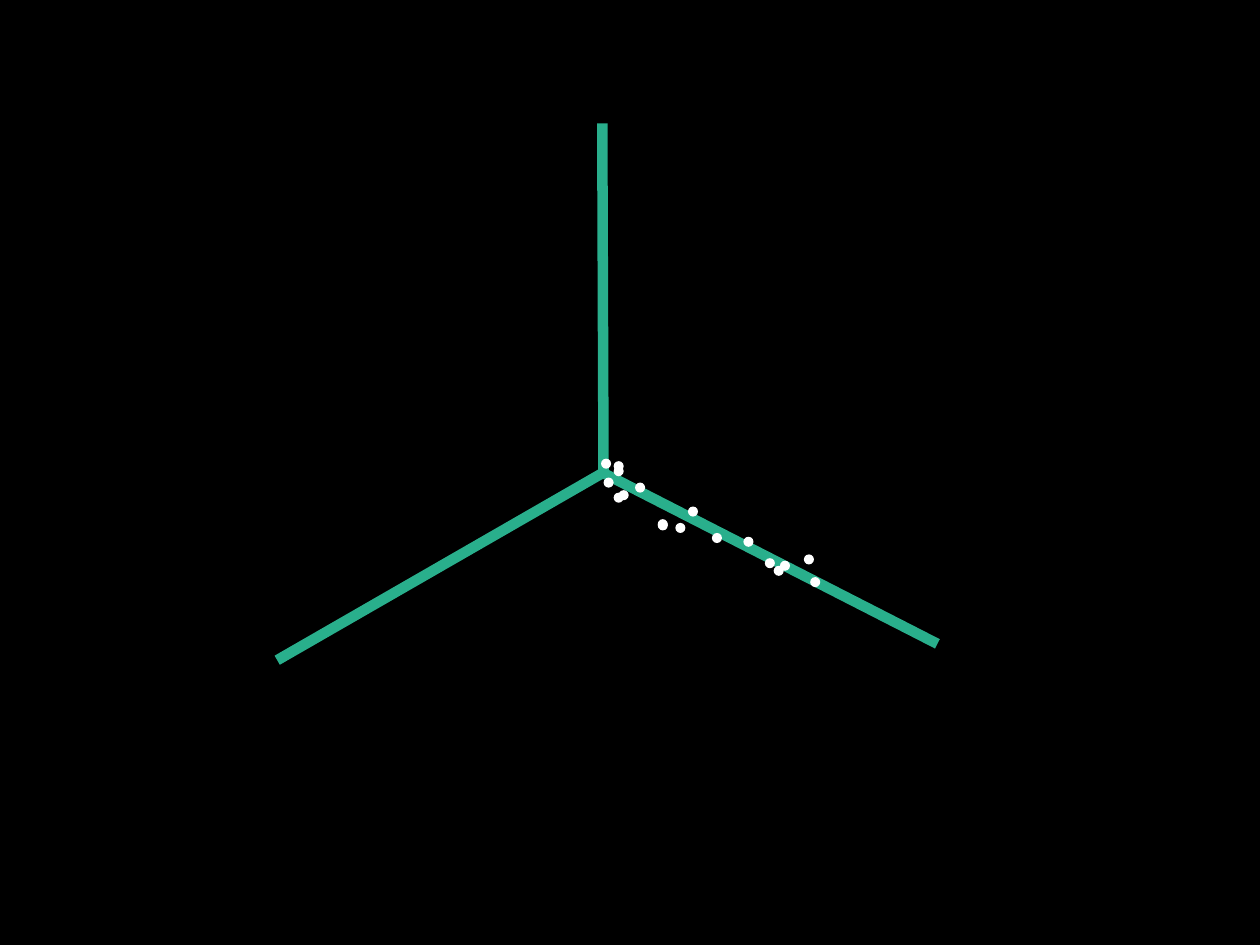
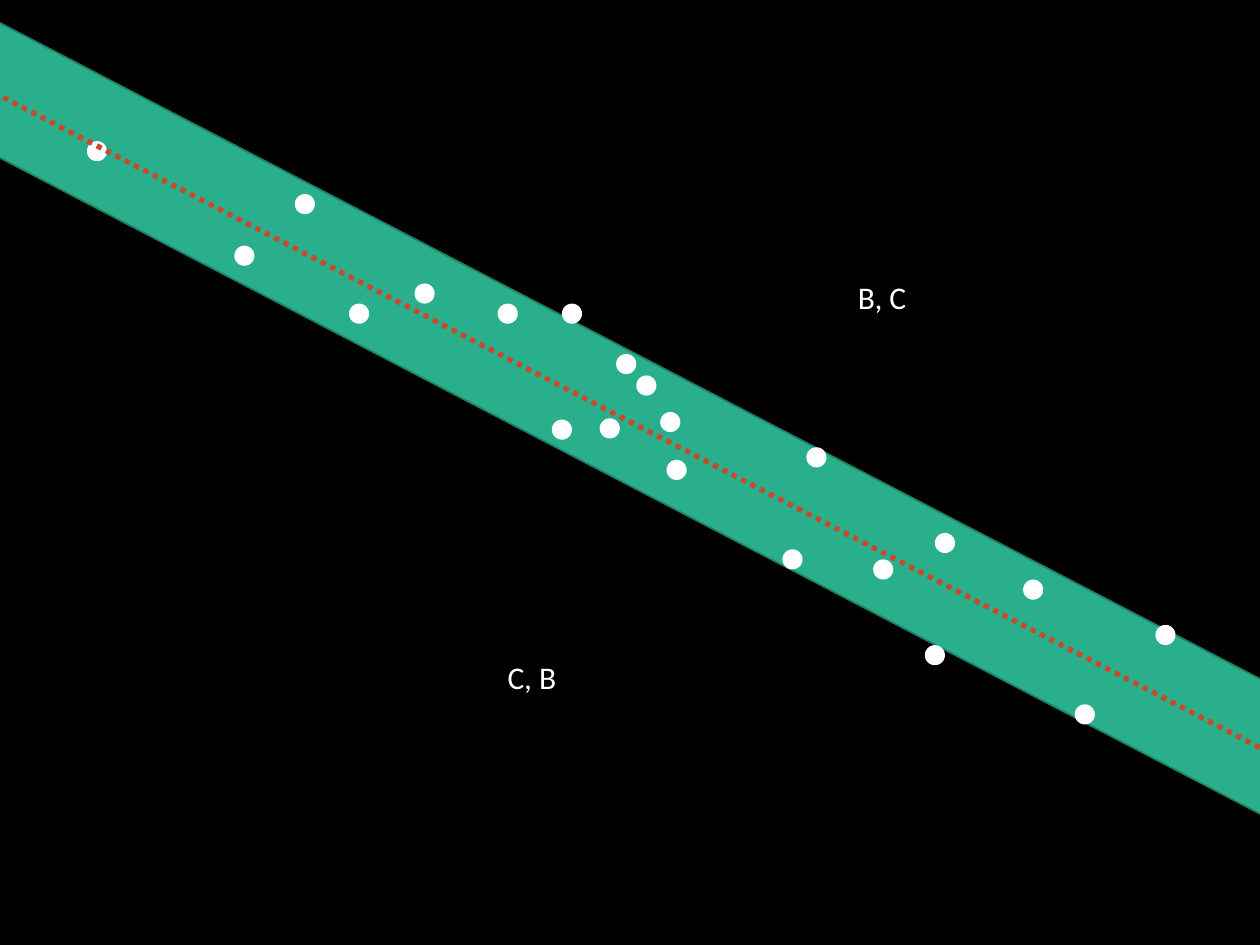
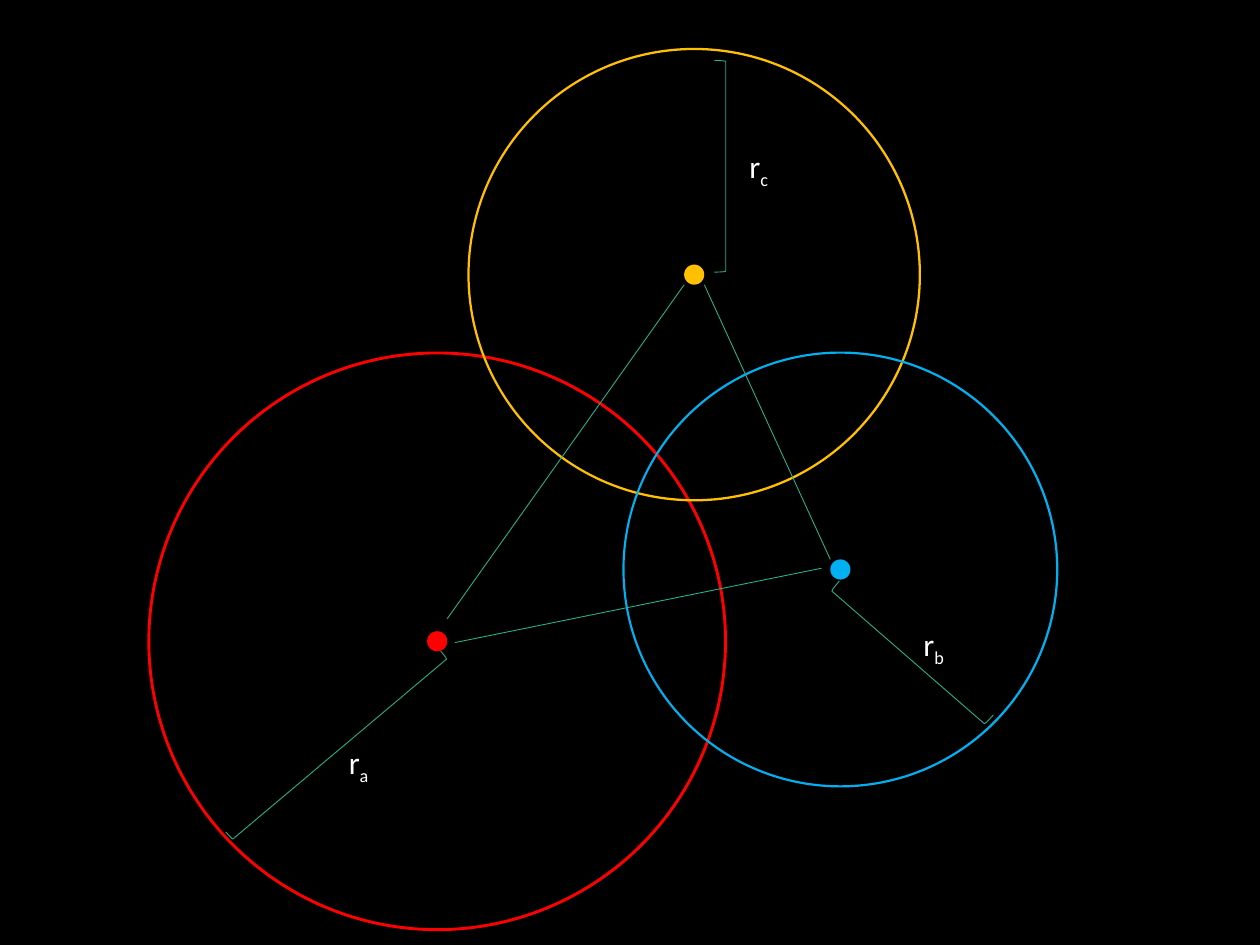
"""Build three slides on trilateration: points near an axis, the axis enlarged, and three circles."""
from lxml import etree
from pptx import Presentation
from pptx import util as u
from pptx.dml.color import RGBColor
from pptx.enum import dml, shapes
from pptx.oxml.ns import qn

BLACK = RGBColor(0x00, 0x00, 0x00)
WHITE = RGBColor(0xFF, 0xFF, 0xFF)
GREEN = RGBColor(0x29, 0xAF, 0x8C)
DARK_GREEN = RGBColor(0x1E, 0x81, 0x68)
RUST = RGBColor(0xC9, 0x49, 0x2C)
RED = RGBColor(0xFF, 0x00, 0x00)
YELLOW = RGBColor(0xFF, 0xC0, 0x00)
BLUE = RGBColor(0x00, 0xB0, 0xF0)

FONT = "Calibri"
SMALL_DOT = 0.8
LARGE_DOT = 1.6
THIN = 0.5
OVAL = shapes.MSO_SHAPE.OVAL

presentation = Presentation()
presentation.slide_width = u.Inches(10)
presentation.slide_height = u.Inches(7.5)
CELL = presentation.slide_width / 100


def add_shape(slide, kind, left, top, width, height, fill=None, line=None, weight=THIN):
    """Add a preset shape measured in grid cells."""
    box = [round(length * CELL) for length in (left, top, width, height)]
    shape = slide.shapes.add_shape(kind, *box)
    shape.shadow.inherit = False
    for part, color in ((shape.fill, fill), (shape.line.fill, line)):
        if color is None:
            part.background()
        else:
            part.solid()
            part.fore_color.rgb = color
    if line is not None:
        shape.line.width = u.Pt(weight)
    return shape


def add_line(slide, start, end, color, weight):
    """Add a straight connector between two grid points."""
    ends = [round(length * CELL) for length in (*start, *end)]
    connector = slide.shapes.add_connector(shapes.MSO_CONNECTOR.STRAIGHT, *ends)
    connector.line.color.rgb = color
    connector.line.width = u.Pt(weight)
    etree.SubElement(connector._element.spPr, qn("a:effectLst"))
    return connector


slides = [presentation.slides.add_slide(presentation.slide_layouts[6]) for _ in range(3)]
for slide in slides:
    slide.background.fill.solid()
    slide.background.fill.fore_color.rgb = BLACK
axes_slide, band_slide, circles_slide = slides

for start, end in (
    ((47.9, 37.5), (47.8, 9.8)),
    ((22, 52.4), (47.9, 37.5)),
    ((47.8, 37.5), (74.4, 51.1)),
):
    add_line(axes_slide, start, end, GREEN, 6)

band = add_shape(band_slide, shapes.MSO_SHAPE.RECTANGLE, -9.4, 30.1, 125.1, 9.5, GREEN, DARK_GREEN, 1)
band.rotation = 27.5

axis_points = [
    (59, 42.6), (60.7, 44.3), (48.7, 39.1), (48.7, 36.6), (50.4, 38.3), (54.6, 40.2),
    (52.2, 41.2), (56.5, 42.3), (47.9, 37.9), (48.7, 37), (53.6, 41.5), (52.2, 41.3),
    (61.9, 44.5), (63.8, 44), (61.4, 44.9), (64.3, 45.8), (47.7, 36.4), (49.1, 38.9),
]
band_points = [
    (6.9, 11.2), (62.1, 43.6), (52.9, 36.5), (48.9, 28.1), (50.5, 29.8), (74.2, 42.3), (52.4, 32.7),
    (39.5, 24.1), (47.6, 33.2), (18.6, 19.5), (69.3, 44.4), (32.9, 22.5), (73.4, 51.2), (23.4, 15.4),
    (64, 35.5), (85.3, 55.9), (81.2, 46), (91.7, 49.6), (27.7, 24.1), (44.6, 24.1), (43.8, 33.3),
]
for slide, points, size in (
    (axes_slide, axis_points, SMALL_DOT),
    (band_slide, band_points, LARGE_DOT),
):
    for left, top in points:
        add_shape(slide, OVAL, left, top, size, size, WHITE)

center_line = add_line(band_slide, (-2.7, 6.2), (108.6, 63.8), RUST, 3)
center_line.line.dash_style = dml.MSO_LINE.ROUND_DOT

for x, y, radius, color in (
    (34.7, 50.9, 23, RED),
    (55.1, 21.8, 18, YELLOW),
    (66.7, 45.2, 17.3, BLUE),
):
    add_shape(circles_slide, OVAL, x - LARGE_DOT / 2, y - LARGE_DOT / 2, LARGE_DOT, LARGE_DOT, color)
    ring = add_shape(circles_slide, shapes.MSO_SHAPE.DONUT, x - radius, y - radius, 2 * radius, 2 * radius, color)
    ring.adjustments[0] = 0.005

for left, top, width, height, rotation in (
    (26.3, 48, 0.8, 22.3, 49.9),
    (56.7, 4.8, 0.9, 16.8, 0),
    (71.9, 43.7, 1, 16.2, 131),
):
    bracket = add_shape(circles_slide, shapes.MSO_SHAPE.RIGHT_BRACKET, left, top, width, height, line=GREEN)
    bracket.rotation = rotation

for start, end in (
    ((35.5, 49.1), (54.3, 22.6)),
    ((36.1, 51), (65.2, 45.1)),
    ((55.9, 22.6), (65.9, 44.4)),
):
    add_line(circles_slide, start, end, GREEN, THIN)

for slide, left, top, width, label, subscript in (
    (band_slide, 67.1, 21.6, 5.9, "B, C", ""),
    (band_slide, 39.3, 51.7, 5.9, "C, B", ""),
    (circles_slide, 26.7, 58.5, 3.7, "r", "a"),
    (circles_slide, 58.5, 11.2, 3.6, "r", "c"),
    (circles_slide, 72.3, 49.1, 3.8, "r", "b"),
):
    box = [round(length * CELL) for length in (left, top, width, 4)]
    text_frame = slide.shapes.add_textbox(*box).text_frame
    text_frame.word_wrap = False
    text_frame.text = label
    paragraph = text_frame.paragraphs[0]
    if subscript:
        run = paragraph.add_run()
        run.text = subscript
        run._r.get_or_add_rPr().set("baseline", "-25000")
    for run in paragraph.runs:
        run.font.name = FONT
        run.font.size = u.Pt(18)
        run.font.color.rgb = WHITE

presentation.save("out.pptx")
